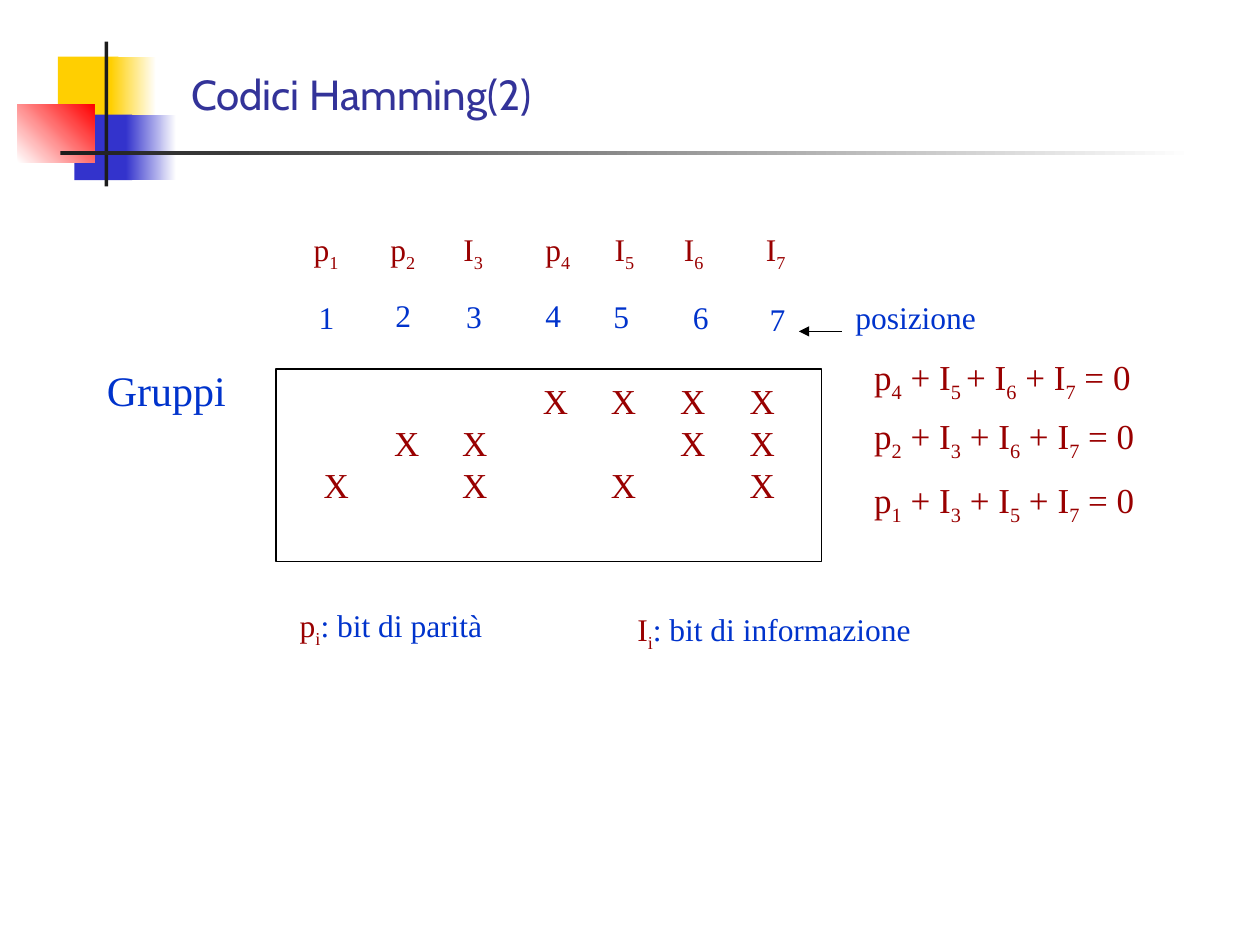
from pptx import Presentation
from pptx.dml.color import RGBColor as RGB
from pptx.enum.shapes import MSO_CONNECTOR as Conn, MSO_SHAPE as Shape
from pptx.enum.text import MSO_ANCHOR as Anchor
from pptx.oxml.ns import qn
from pptx.util import Inches, Pt
from lxml.etree import SubElement as Sub

RED, BLUE, NAVY = "990000", "0033CC", "333399"
GOLD, INDIGO, DARK, WHITE = "FFCF01", "3333CC", "1C1C1C", "FFFFFF"
SERIF = "Times New Roman"


def color(code):
    return RGB.from_string(code)


def style(run, hue, **form):
    for key, val in form.items():
        setattr(run.font, key, val)
    run.font.color.rgb = color(hue)


def block(slide, x, y, w, h, fill=None, angle=0):
    """Add a rectangle; a pair of colours gives a gradient."""
    rect = slide.shapes.add_shape(Shape.RECTANGLE, *map(Inches, (x, y, w, h)))
    rect.shadow.inherit = False
    rect.line.fill.background()
    if fill is None:
        rect.fill.background()
    elif isinstance(fill, str):
        rect.fill.solid()
        rect.fill.fore_color.rgb = color(fill)
    else:
        rect.fill.gradient()
        rect.fill.gradient_angle = angle
        for stop, code in zip(rect.fill.gradient_stops, fill):
            stop.color.rgb = color(code)
    return rect


def label(slide, x, y, w, h, text, size=18, hue=RED, rest=None, font=SERIF):
    """Add text whose parts between bars are subscripts; rest colours the end."""
    frame = slide.shapes.add_textbox(*map(Inches, (x, y, w, h))).text_frame
    frame.word_wrap = True
    frame.margin_right = 0
    para = frame.paragraphs[0]
    for i, part in enumerate(text.split("|")):
        if not part:
            continue
        run = para.add_run()
        run.text = part
        style(run, rest if rest and i > 1 else hue, name=font, size=Pt(size))
        if i % 2:
            run._r.get_or_add_rPr().set("baseline", "-25000")
    return frame


def draw_logo(slide, x, y):
    for dx, dy, w, h, fill, angle in (
        (0.32, 0.12, 0.48, 0.52, GOLD, 0),
        (0.74, 0.12, 0.36, 0.52, (GOLD, WHITE), 0),
        (0.45, 0.58, 0.46, 0.52, INDIGO, 0),
        (0.86, 0.58, 0.40, 0.52, (INDIGO, WHITE), 0),
        (0, 0.50, 0.61, 0.46, (WHITE, "FF0000"), 45),
        (0.69, 0, 0.03, 1.15, DARK, 0),
        (0.34, 0.87, 9, 0.03, (DARK, WHITE), 0),
    ):
        block(slide, x + dx, y + dy, w, h, fill, angle)


def draw_title(slide, x, y, w, h):
    frame = label(slide, x, y, w, h, "Codici Hamming(2)", 24, NAVY,
                  font="Cabin")
    frame.vertical_anchor = Anchor.BOTTOM


def draw_arrow(slide, x, y, end):
    arrow = slide.shapes.add_connector(
        Conn.STRAIGHT, *map(Inches, (x, y, end, y)))
    arrow.line.width = Pt(0.75)
    arrow.line.color.rgb = color("000000")
    Sub(arrow.line._get_or_add_ln(), qn("a:tailEnd"), type="triangle")
    Sub(arrow._element.spPr, qn("a:effectLst"))


def draw_header(slide, x, y):
    """Place the bit names above their positions."""
    bits = (("p|1|", 0, 0.04, 0.54), ("p|2|", 0.61, 0.65, 0.52),
            ("I|3|", 1.19, 1.21, 0.53), ("p|4|", 1.84, 1.84, 0.52),
            ("I|5|", 2.39, 2.38, 0.53), ("I|6|", 2.94, 3.01, 0.54),
            ("I|7|", 3.59, 3.62, 0.55))
    for n, (name, left, dx, dy) in enumerate(bits, 1):
        label(slide, x + left, y, 0.40 if name[0] == "p" else 0.35, 0.44, name)
        label(slide, x + dx, y + dy, 0.32, 0.4, str(n), hue=BLUE)
    label(slide, x + 4.3, y + 0.54, 1.16, 0.4, "posizione", hue=BLUE)
    draw_arrow(slide, x + 4.29, y + 0.85, x + 3.95)


def draw_groups(slide, x, y, w, h):
    label(slide, x - 1.44, y - 0.09, 1.26, 0.5, "Gruppi", 24, BLUE)
    frame = label(slide, x + 0.28, y + 0.03, 4.21, 1.1, "")
    stops = (0.56, 1.1, 1.74, 2.28, 2.83, 3.38)
    for bit in (4, 2, 1):
        para = frame.paragraphs[0] if bit == 4 else frame.add_paragraph()
        tabs = Sub(para._p.get_or_add_pPr(), qn("a:tabLst"))
        for pos in stops:
            Sub(tabs, qn("a:tab"), pos=str(Inches(pos)), algn="l")
        run = para.add_run()
        marks = ("X" if n & bit else "" for n in range(1, 8))
        run.text = "\t".join(marks)
        style(run, RED, name=SERIF, size=Pt(20))
    edge = block(slide, x, y, w, h).line
    edge.width = Pt(0.75)
    edge.color.rgb = color("000000")


def draw_sums(slide, x, y):
    for dy, w, text in (
        (0, 2.23, "p|4| + I|5 |+ I|6| + I|7| = 0"),
        (0.47, 2.26, "p|2| + I|3| + I|6| + I|7| = 0"),
        (0.98, 2.26, "p|1| + I|3| + I|5| + I|7| = 0"),
    ):
        label(slide, x, y + dy, w, 0.48, text, 20)


def draw_legend(slide, x, y):
    for dx, dy, w, text in ((0, 0, 2.38, "p|i|: bit di parità"),
                            (2.68, 0.03, 3.23, "I|i|: bit di informazione")):
        label(slide, x + dx, y + dy, w, 0.44, text, rest=BLUE)


def main():
    deck = Presentation()
    deck.slide_width, deck.slide_height = Inches(10), Inches(7.5)
    slide = deck.slides.add_slide(deck.slide_layouts[6])
    draw_logo(slide, 0.14, 0.33)
    draw_title(slide, 1.42, 0.25, 8.36, 0.74)
    draw_header(slide, 2.39, 1.78)
    draw_groups(slide, 2.19, 2.93, 4.33, 1.53)
    draw_sums(slide, 6.84, 2.77)
    draw_legend(slide, 2.28, 4.76)
    deck.save("out.pptx")


if __name__ == "__main__":
    main()
